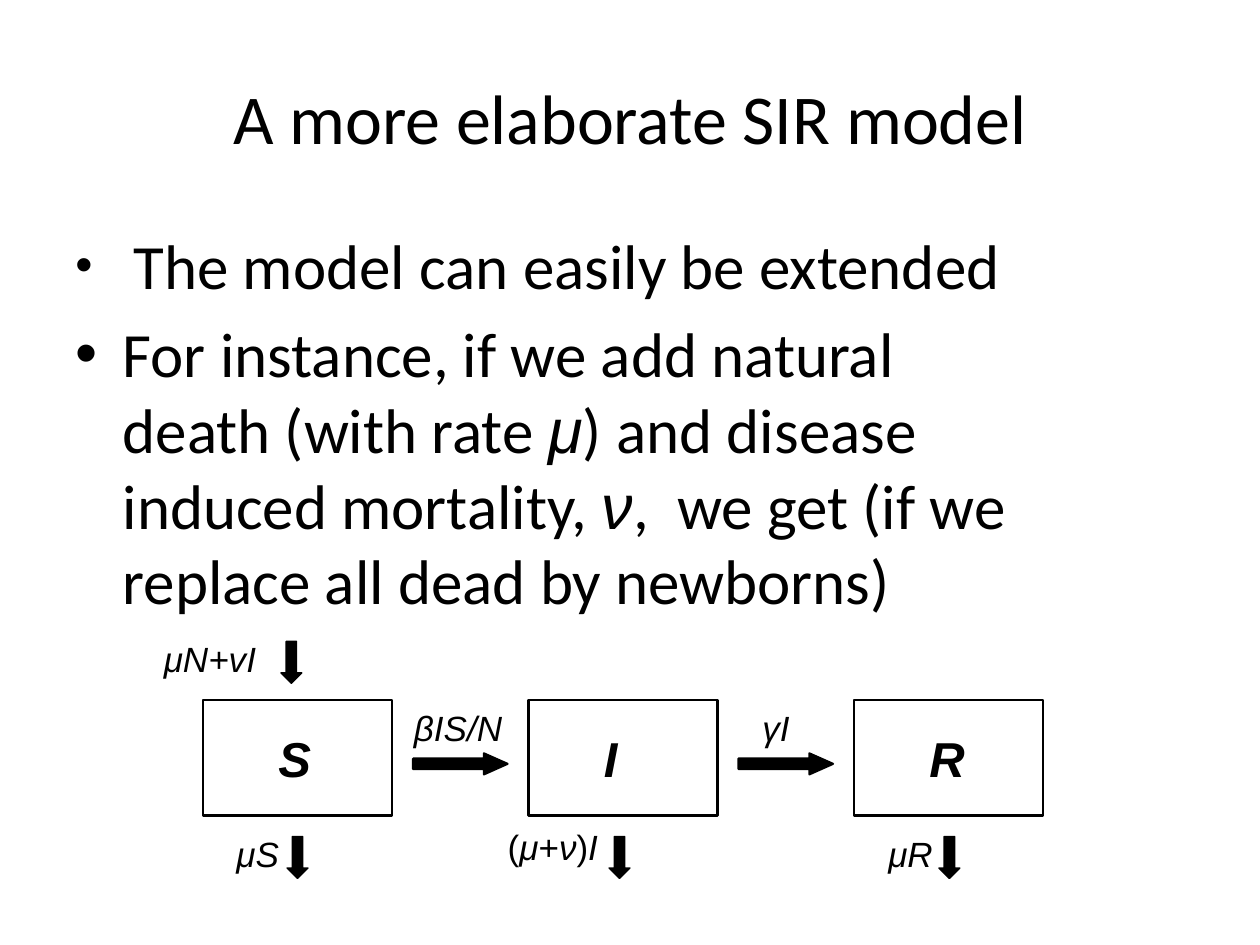
from dataclasses import dataclass

from lxml import etree
from pptx import Presentation
from pptx.dml.color import RGBColor
from pptx.enum.shapes import MSO_SHAPE
from pptx.enum.text import MSO_ANCHOR, PP_ALIGN
from pptx.oxml.ns import qn
from pptx.util import Pt

RECTANGLE = MSO_SHAPE.RECTANGLE
RIGHT_ARROW = MSO_SHAPE.RIGHT_ARROW
DOWN_ARROW = MSO_SHAPE.DOWN_ARROW
MIDDLE = MSO_ANCHOR.MIDDLE
CENTER = PP_ALIGN.CENTER


@dataclass(frozen=True)
class Theme:
    ink: RGBColor = RGBColor(0, 0, 0)
    text_font: str = "Calibri"
    symbol_font: str = "Arial"
    title: int = 40
    body: int = 36
    bullet_lead: int = 28
    state: int = 28
    rate: int = 20


THEME = Theme()

# Compartments of the model sit on one row with an equal step
STATES = ("S", "I", "R")
FIRST_LEFT, STEP = 116, 186
BOX_TOP, BOX_WIDTH, BOX_HEIGHT = 400, 108, 66


def add_run(paragraph, text, size, font, italic=False, bold=False):
    run = paragraph.add_run()
    run.text = text
    run.font.size = Pt(size)
    run.font.name = font
    run.font.italic = italic
    run.font.bold = bold
    run.font.color.rgb = THEME.ink


def add_text_frame(slide, left, top, width, height):
    box = slide.shapes.add_textbox(Pt(left), Pt(top), Pt(width), Pt(height))
    box.text_frame.word_wrap = True
    return box.text_frame


def add_label(slide, left, top, width, height, runs, size, bold=False):
    """Write a symbol label from (text, italic) pairs."""
    paragraph = add_text_frame(slide, left, top, width, height).paragraphs[0]
    for text, italic in runs:
        add_run(paragraph, text, size, THEME.symbol_font, italic, bold)


def add_outline(slide, kind, left, top, width, height, line_width):
    shape = slide.shapes.add_shape(kind, Pt(left), Pt(top), Pt(width), Pt(height))
    shape.shadow.inherit = False
    shape.line.color.rgb = THEME.ink
    shape.line.width = Pt(line_width)
    shape.fill.background()
    return shape


def add_arrow(slide, kind, left, top, width, height, line_width, head):
    arrow = add_outline(slide, kind, left, top, width, height, line_width)
    arrow.fill.solid()
    arrow.fill.fore_color.rgb = THEME.ink
    arrow.adjustments[0] = 0.5
    arrow.adjustments[1] = head


def add_bullet(paragraph, runs):
    """Write a hanging bullet from (text, size, font, italic) tuples."""
    properties = paragraph._p.get_or_add_pPr()
    properties.set("marL", str(Pt(27)))
    properties.set("indent", str(Pt(-27)))
    etree.SubElement(properties, qn("a:buFont")).set("typeface", THEME.symbol_font)
    etree.SubElement(properties, qn("a:buChar")).set("char", "•")
    for run in runs:
        add_run(paragraph, *run)


def add_title(slide):
    frame = add_text_frame(slide, 36, 21.6, 648, 90)
    frame.vertical_anchor = MIDDLE
    frame.paragraphs[0].alignment = CENTER
    add_run(frame.paragraphs[0], "A more elaborate SIR model", THEME.title, THEME.text_font)


def add_body(slide):
    frame = add_text_frame(slide, 36, 126, 568, 356.4)
    words = (THEME.body, THEME.text_font, False)
    symbol = (THEME.body, THEME.symbol_font, True)
    add_bullet(frame.paragraphs[0], [
        (" ", THEME.bullet_lead, THEME.text_font, False),
        ("The model can easily be extended", *words),
    ])
    example = frame.add_paragraph()
    add_bullet(example, [
        ("For instance, if we add natural death (with rate ", *words),
        ("μ", *symbol),
        (") and disease induced mortality, ", *words),
        ("ν", *symbol),
        (",  we get (if we replace all dead by newborns)", *words),
    ])
    example.space_before = Pt(7.2)


def add_compartments(slide):
    for index, state in enumerate(STATES):
        left = FIRST_LEFT + index * STEP
        add_outline(slide, RECTANGLE, left, BOX_TOP, BOX_WIDTH, BOX_HEIGHT, 1.5)
        add_label(slide, left + 36, 412.5, 60, 41, [(state, True)], THEME.state, bold=True)


def add_transitions(slide):
    rates = (("βIS/N", 229.5, 66), ("γI", 428.5, 42))
    for index, (rate, label_left, label_width) in enumerate(rates):
        arrow_left = FIRST_LEFT + BOX_WIDTH + 12 + index * STEP
        add_arrow(slide, RIGHT_ARROW, arrow_left, 430.5, 54, 12, 1.25, 1.125)
        add_label(slide, label_left, BOX_TOP, label_width, 32, [(rate, True)], THEME.rate)


def add_births_and_deaths(slide):
    infected_deaths = [("(", False), ("μ", True), ("+", False),
                       ("ν", True), (")", False), ("Ι", True)]
    # Rate, label left, top and width, arrow left and top
    flows = (
        ([("μS", True)], 128, 472, 60, 164, 478),
        (infected_deaths, 283, 468, 84, 348, 478),
        ([("μR", True)], 500.5, 472, 61, 536.5, 478),
        ([("μN+vI", True)], 86.5, 361, 126, 160.5, 366.5),
    )
    for rate, left, top, width, arrow_left, arrow_top in flows:
        add_arrow(slide, DOWN_ARROW, arrow_left, arrow_top, 12, 24, 0.75, 0.5)
        add_label(slide, left, top, width, 31.5, rate, THEME.rate)


def main():
    deck = Presentation()
    deck.slide_width, deck.slide_height = Pt(720), Pt(540)
    slide = deck.slides.add_slide(deck.slide_layouts[6])

    # Text
    add_title(slide)
    add_body(slide)

    # Flow diagram
    add_compartments(slide)
    add_transitions(slide)
    add_births_and_deaths(slide)

    deck.save("out.pptx")


if __name__ == "__main__":
    main()
